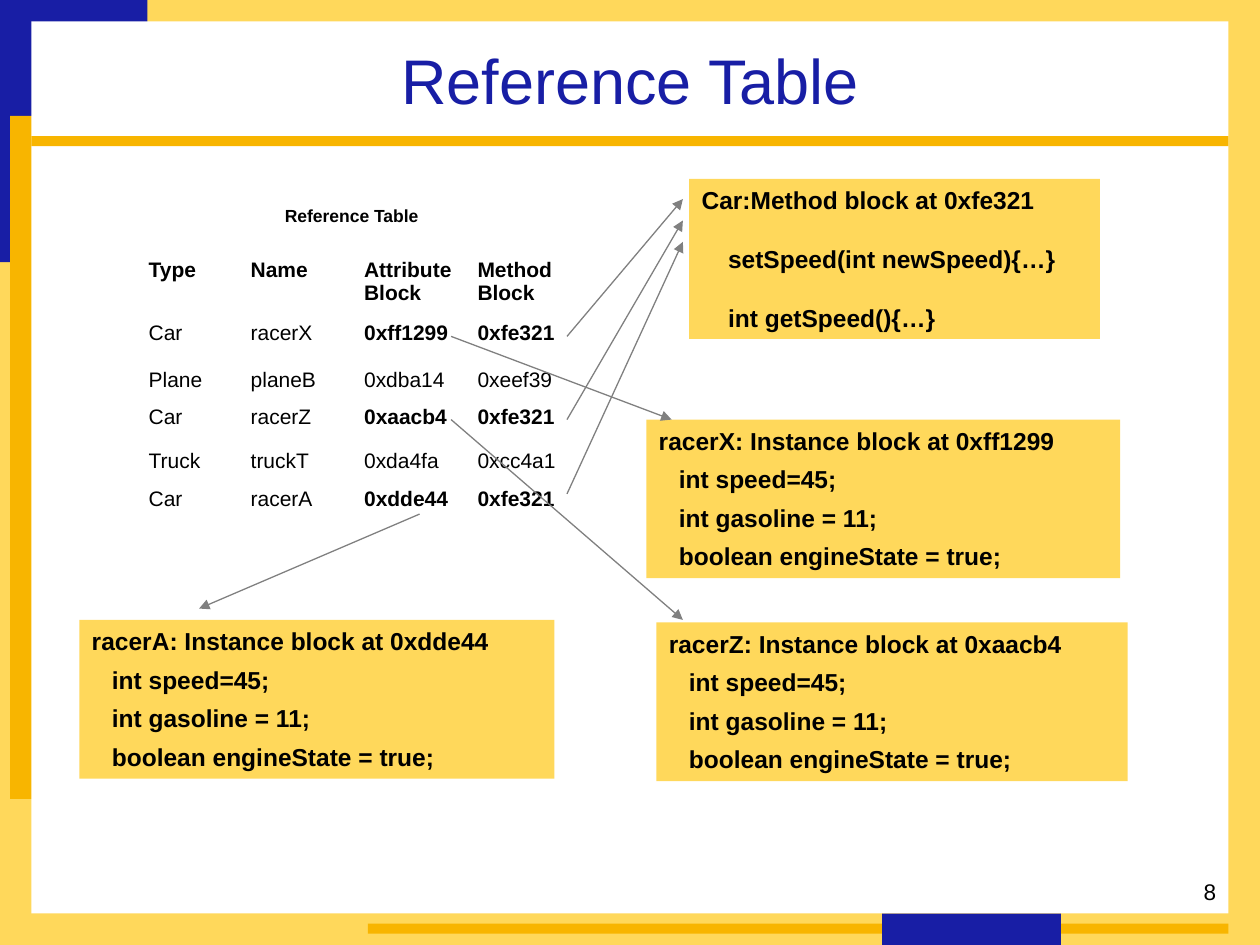
from dataclasses import dataclass

from lxml.etree import SubElement
from pptx import Presentation
from pptx.dml.color import RGBColor as RGB
from pptx.enum.shapes import MSO_CONNECTOR as CONNECTOR, MSO_SHAPE as SHAPE
from pptx.enum.text import MSO_ANCHOR as ANCHOR, MSO_AUTO_SIZE as AUTO_SIZE, PP_ALIGN as ALIGN
from pptx.oxml.ns import qn
from pptx.util import Inches, Pt


@dataclass(frozen=True)
class Theme:
    font: str = "Arial"
    blue: str = "181EA5"
    pale: str = "FFD85B"
    amber: str = "F8B500"
    white: str = "FFFFFF"
    black: str = "000000"
    gray: str = "808080"
    title: float = 36
    block: float = 14
    number: float = 12.9
    cell: float = 12
    caption: float = 10


THEME = Theme()

FRAME = [
    (0, 0, 10, 7.5, THEME.pale),
    (0, 0, 1.17, 2.08, THEME.blue),
    (0.08, 0.92, 0.42, 5.42, THEME.amber),
    (0.25, 0.17, 9.5, 7.08, THEME.white),
    (2.92, 7.33, 6.83, 0.08, THEME.amber),
    (0.25, 1.08, 9.5, 0.08, THEME.amber),
    (7, 7.25, 1.42, 0.25, THEME.blue),
]

METHODS = ["setSpeed(int newSpeed){…}", "int getSpeed(){…}"]
STATE = ["int speed=45;", "int gasoline = 11;", "boolean engineState = true;"]
INSTANCES = [
    ("racerX", "0xff1299", (5.13, 3.33, 3.76, 1.26)),
    ("racerA", "0xdde44", (0.63, 4.92, 3.77, 1.26)),
    ("racerZ", "0xaacb4", (5.21, 4.94, 3.74, 1.26)),
]

REFERENCES = [
    ("Type", "Name", "Attribute Block", "Method Block"),
    ("Car", "racerX", "0xff1299", "0xfe321"),
    ("Plane", "planeB", "0xdba14", "0xeef39"),
    ("Car", "racerZ", "0xaacb4", "0xfe321"),
    ("Truck", "truckT", "0xda4fa", "0xcc4a1"),
    ("Car", "racerA", "0xdde44", "0xfe321"),
]
COLUMN_WIDTHS = [0.81, 0.9, 0.9, 0.9]
ROW_HEIGHTS = [0.5, 0.37, 0.3, 0.35, 0.3, 0.3]

POINTERS = [
    ((3.33, 4.08), (1.58, 4.83)),
    ((3.58, 3.33), (5.42, 4.92)),
    ((4.5, 3.92), (5.42, 1.92)),
    ((4.5, 3.33), (5.42, 1.75)),
    ((4.5, 2.67), (5.42, 1.58)),
    ((3.58, 2.67), (5.33, 3.33)),
]


def inches(values):
    return [Inches(value) for value in values]


def write(paragraph, text, size, color=THEME.black, bold=False, align=ALIGN.LEFT):
    paragraph.alignment = align
    run = paragraph.add_run()
    run.text = text
    run.font.name = THEME.font
    run.font.size = Pt(size)
    run.font.bold = bold
    run.font.color.rgb = RGB.from_string(color)


def add_panel(slide, area, color):
    panel = slide.shapes.add_shape(SHAPE.RECTANGLE, *inches(area))
    panel.shadow.inherit = False
    panel.fill.solid()
    panel.fill.fore_color.rgb = RGB.from_string(color)
    panel.line.fill.background()
    return panel


def add_title(slide, text):
    title = slide.shapes.title
    slide.shapes._spTree.append(title._element)
    title.left, title.top, title.width, title.height = inches((0.25, 0.17, 9.5, 0.92))
    frame = title.text_frame
    frame.auto_size = AUTO_SIZE.NONE
    frame.vertical_anchor = ANCHOR.MIDDLE
    write(frame.paragraphs[0], text, THEME.title, THEME.blue, align=ALIGN.CENTER)


def add_block(slide, area, heading, members, indent, gap):
    frame = add_panel(slide, area, THEME.pale).text_frame
    frame.word_wrap = True
    frame.vertical_anchor = ANCHOR.TOP
    write(frame.paragraphs[0], heading, THEME.block, bold=True)
    for member in members:
        paragraph = frame.add_paragraph()
        paragraph.space_before = Pt(gap)
        paragraph._p.get_or_add_pPr().set("marL", str(Inches(indent)))
        write(paragraph, member, THEME.block, bold=True)


def add_label(slide, area, text, size, align, bold=False):
    frame = slide.shapes.add_textbox(*inches(area)).text_frame
    frame.word_wrap = True
    write(frame.paragraphs[0], text, size, bold=bold, align=align)


def set_borders(cell):
    properties = cell._tc.get_or_add_tcPr()
    for position, side in enumerate(("lnL", "lnR", "lnT", "lnB")):
        border = properties.makeelement(qn(f"a:{side}"), {"w": str(Pt(0.45))})
        fill = SubElement(border, qn("a:solidFill"))
        SubElement(fill, qn("a:srgbClr"), val=THEME.white)
        properties.insert(position, border)


def add_references(slide):
    area = (1.08, 2, sum(COLUMN_WIDTHS), sum(ROW_HEIGHTS))
    table = slide.shapes.add_table(len(REFERENCES), len(COLUMN_WIDTHS), *inches(area)).table
    table.horz_banding = False
    for column, width in zip(table.columns, COLUMN_WIDTHS):
        column.width = Inches(width)
    for row_index, (row, height, values) in enumerate(zip(table.rows, ROW_HEIGHTS, REFERENCES)):
        row.height = Inches(height)
        for column_index, (cell, value) in enumerate(zip(row.cells, values)):
            cell.fill.background()
            set_borders(cell)
            highlighted = row_index == 0 or (values[0] == "Car" and column_index >= 2)
            write(cell.text_frame.paragraphs[0], value, THEME.cell, bold=highlighted)


def add_pointer(slide, start, end):
    pointer = slide.shapes.add_connector(CONNECTOR.STRAIGHT, *inches(start + end))
    pointer.line.color.rgb = RGB.from_string(THEME.gray)
    pointer.line.width = Pt(0.75)
    SubElement(pointer.line._get_or_add_ln(), qn("a:tailEnd"), type="triangle")
    SubElement(pointer._element.spPr, qn("a:effectLst"))


def main():
    deck = Presentation()
    deck.slide_width, deck.slide_height = inches((10, 7.5))
    slide = deck.slides.add_slide(deck.slide_layouts[5])
    for *area, color in FRAME:
        add_panel(slide, area, color)
    add_title(slide, "Reference Table")
    add_block(slide, (5.47, 1.42, 3.26, 1.27), "Car:Method block at 0xfe321", METHODS, 0.21, 17)
    for name, address, area in INSTANCES:
        add_block(slide, area, f"{name}: Instance block at {address}", STATE, 0.16, 5.2)
    add_label(slide, (1.08, 1.58, 3.42, 0.27), "Reference Table", THEME.caption, ALIGN.CENTER, True)
    add_references(slide)
    for start, end in POINTERS:
        add_pointer(slide, start, end)
    add_label(slide, (7.67, 6.92, 2.08, 0.33), "8", THEME.number, ALIGN.RIGHT)
    deck.save("out.pptx")


if __name__ == "__main__":
    main()
